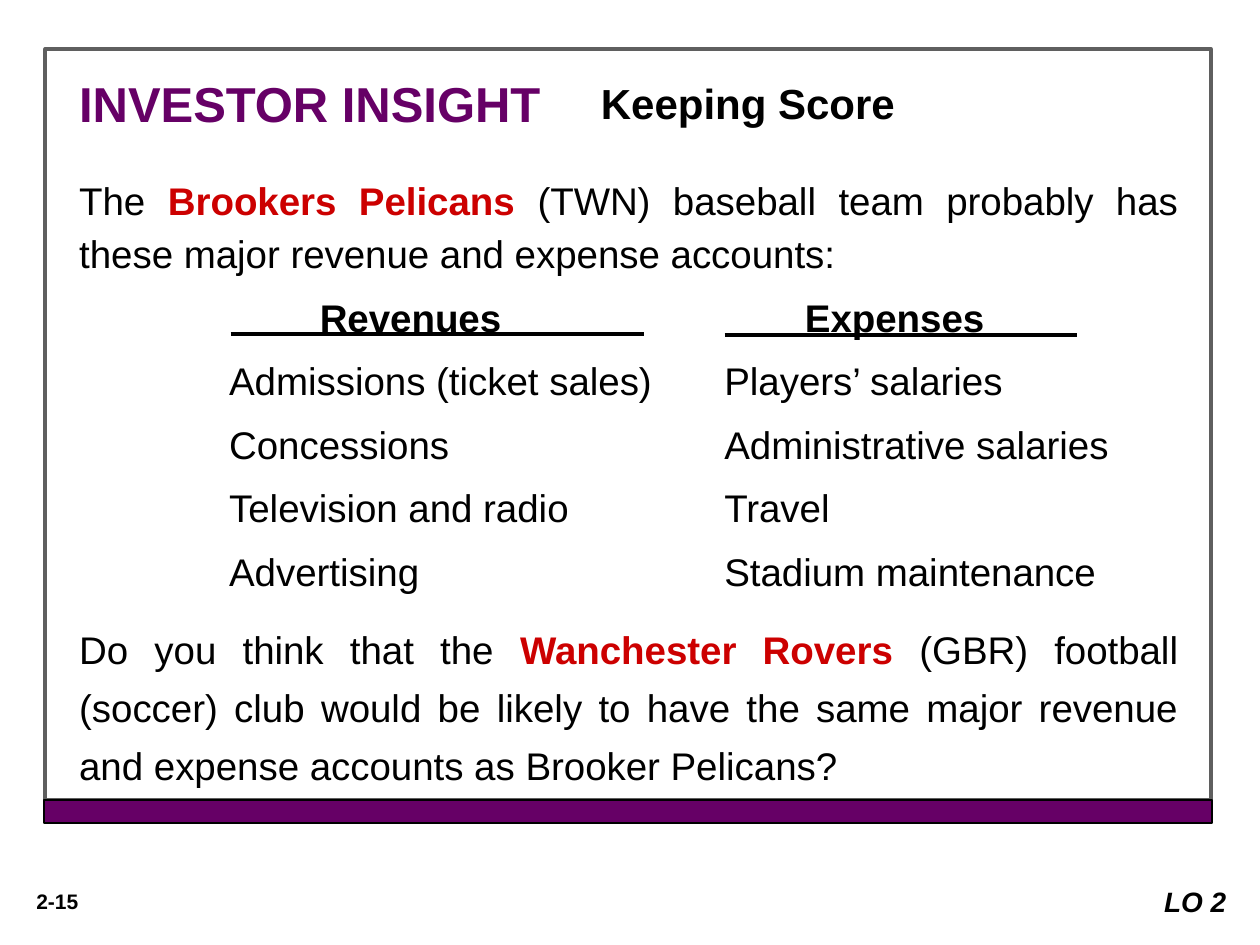
from dataclasses import dataclass

from lxml import etree
from pptx import Presentation
from pptx import util as u
from pptx.dml.color import RGBColor
from pptx.enum import shapes, text
from pptx.oxml.ns import qn

COLORS = {"ink": "000000", "brand": "660066", "team": "CC0000",
          "frame": "5F5F5F", "paper": "FFFFFF"}
COLS, ROWS = 100, 75
WIDTH, HEIGHT = u.Inches(10), u.Inches(7.5)
COL, ROW = WIDTH // COLS, HEIGHT // ROWS

ACCOUNTS = [("Admissions (ticket sales)", "Players’ salaries"),
            ("Concessions", "Administrative salaries"),
            ("Television and radio", "Travel"),
            ("Advertising", "Stadium maintenance")]


@dataclass
class Box:
    """An area in grid columns and rows."""
    x: float
    y: float
    w: float
    h: float

    def inner(self, x, y, w, h):
        return Box(self.x + x, self.y + y, w, h)

    def place(self):
        return (round(self.x * COL), round(self.y * ROW),
                round(self.w * COL), round(self.h * ROW))


def color(name):
    return RGBColor.from_string(COLORS[name])


def style(run, size, bold=False, ink="ink", italic=False):
    run.font.name = "Arial"
    run.font.size = u.Pt(size)
    run.font.bold = bold
    run.font.italic = italic
    run.font.color.rgb = color(ink)


def add_text(slide, box, anchor=text.MSO_ANCHOR.TOP):
    frame = slide.shapes.add_textbox(*box.place()).text_frame
    frame.word_wrap = True
    frame.vertical_anchor = anchor
    return frame


def add_label(slide, box, words, size, align=text.PP_ALIGN.LEFT, **look):
    frame = add_text(slide, box, text.MSO_ANCHOR.MIDDLE)
    frame.text = words
    frame.paragraphs[0].alignment = align
    style(frame.paragraphs[0].runs[0], size, **look)


def add_panel(slide, box, line, weight, fill=None):
    panel = slide.shapes.add_shape(shapes.MSO_SHAPE.RECTANGLE, *box.place())
    panel.shadow.inherit = False
    panel.line.color.rgb = color(line)
    panel.line.width = u.Pt(weight)
    if fill:
        panel.fill.solid()
        panel.fill.fore_color.rgb = color(fill)
    else:
        panel.fill.background()


def add_rule(slide, box):
    x, y, w, _ = box.place()
    rule = slide.shapes.add_connector(shapes.MSO_CONNECTOR.STRAIGHT, x, y, x + w, y)
    rule.line.color.rgb = color("ink")
    rule.line.width = u.Pt(2.25)
    etree.SubElement(rule._element.spPr, qn("a:effectLst"))


def write_body(paragraph, before, team, after, spacing):
    """Justified running text with the team name picked out."""
    paragraph.alignment = text.PP_ALIGN.JUSTIFY
    paragraph.line_spacing = spacing
    for words, look in ((before, {}), (team, {"bold": True, "ink": "team"}), (after, {})):
        run = paragraph.add_run()
        run.text = words
        style(run, 22, **look)


def write_columns(paragraph, words, stops, align, bold=False):
    """One row of accounts, each entry set on its own tab stop."""
    paragraph.text = "".join("\t" + word for word in words)
    paragraph.alignment = text.PP_ALIGN.JUSTIFY
    paragraph.line_spacing = 1.15
    paragraph.space_before = u.Pt(6)
    tabs = etree.SubElement(paragraph._p.get_or_add_pPr(), qn("a:tabLst"))
    for stop in stops:
        etree.SubElement(tabs, qn("a:tab"), pos=str(round(stop * COL)), algn=align)
    style(paragraph.runs[0], 22, bold)


def heading(slide, box):
    add_label(slide, box.inner(0, 0, 40, box.h), "INVESTOR INSIGHT", 28,
              bold=True, ink="brand")
    add_label(slide, box.inner(41.4, 0, 35.8, box.h), "Keeping Score", 24, bold=True)


def accounts(slide, box):
    frame = add_text(slide, box)
    write_body(frame.paragraphs[0], "The ", "Brookers Pelicans ",
               "(TWN) baseball team probably has these major revenue and "
               "expense accounts:", 1.15)
    write_columns(frame.add_paragraph(), ("Revenues", " Expenses"),
                  (26.3, 64.3), "ctr", bold=True)
    for row in ACCOUNTS:
        write_columns(frame.add_paragraph(), row, (11.9, 51.2), "l")
    add_rule(slide, box.inner(13, 13.5, 32.8, 0))
    add_rule(slide, box.inner(52.2, 13.6, 28, 0))


def question(slide, box):
    write_body(add_text(slide, box).paragraphs[0], "Do you think that the ",
               "Wanchester Rovers ",
               "(GBR) football (soccer) club would be likely to have the same major "
               "revenue and expense accounts as Brooker Pelicans?", 1.25)


def border(slide, box):
    band = 1.8
    add_panel(slide, box.inner(0.1, 0, box.w - 0.2, box.h - band), "frame", 2.25)
    add_panel(slide, box.inner(0, box.h - band, box.w, band), "ink", 1, "brand")


def footer(slide, box):
    add_label(slide, box.inner(0, 0.3, 7.5, 3), "2-15", 12,
              text.PP_ALIGN.CENTER, bold=True)
    add_label(slide, box.inner(box.w - 10, 0, 10, box.h), "LO 2", 16,
              text.PP_ALIGN.RIGHT, bold=True, italic=True)


def main():
    deck = Presentation()
    deck.slide_width, deck.slide_height = WIDTH, HEIGHT
    slide = deck.slides.add_slide(deck.slide_layouts[6])
    slide.background.fill.solid()
    slide.background.fill.fore_color.rgb = color("paper")
    heading(slide, Box(5.3, 5.1, 77.2, 6.1))
    accounts(slide, Box(5.3, 13, 89.2, 33.7))
    question(slide, Box(5.3, 48.3, 89.2, 14.3))
    border(slide, Box(3.5, 3.9, 92.7, 61.4))
    footer(slide, Box(0.8, 69.7, 97.5, 3.7))
    deck.save("out.pptx")


if __name__ == "__main__":
    main()
